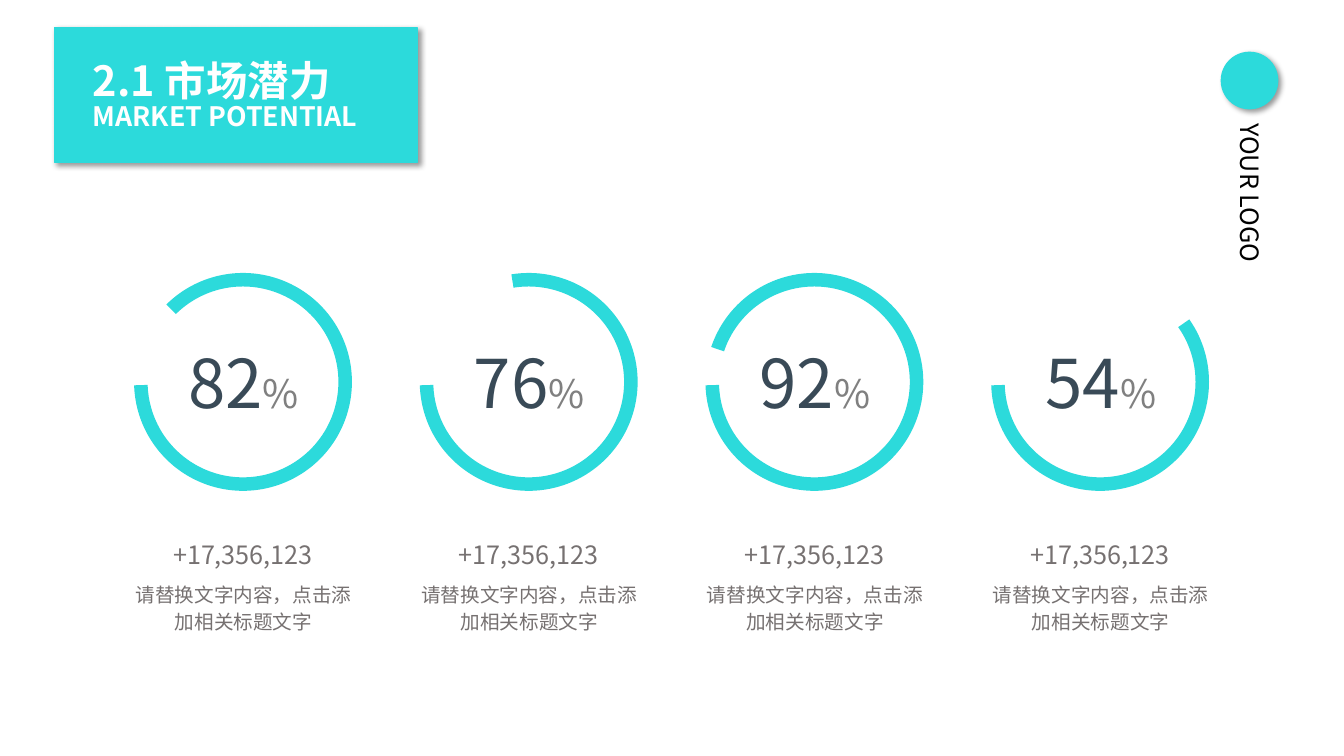
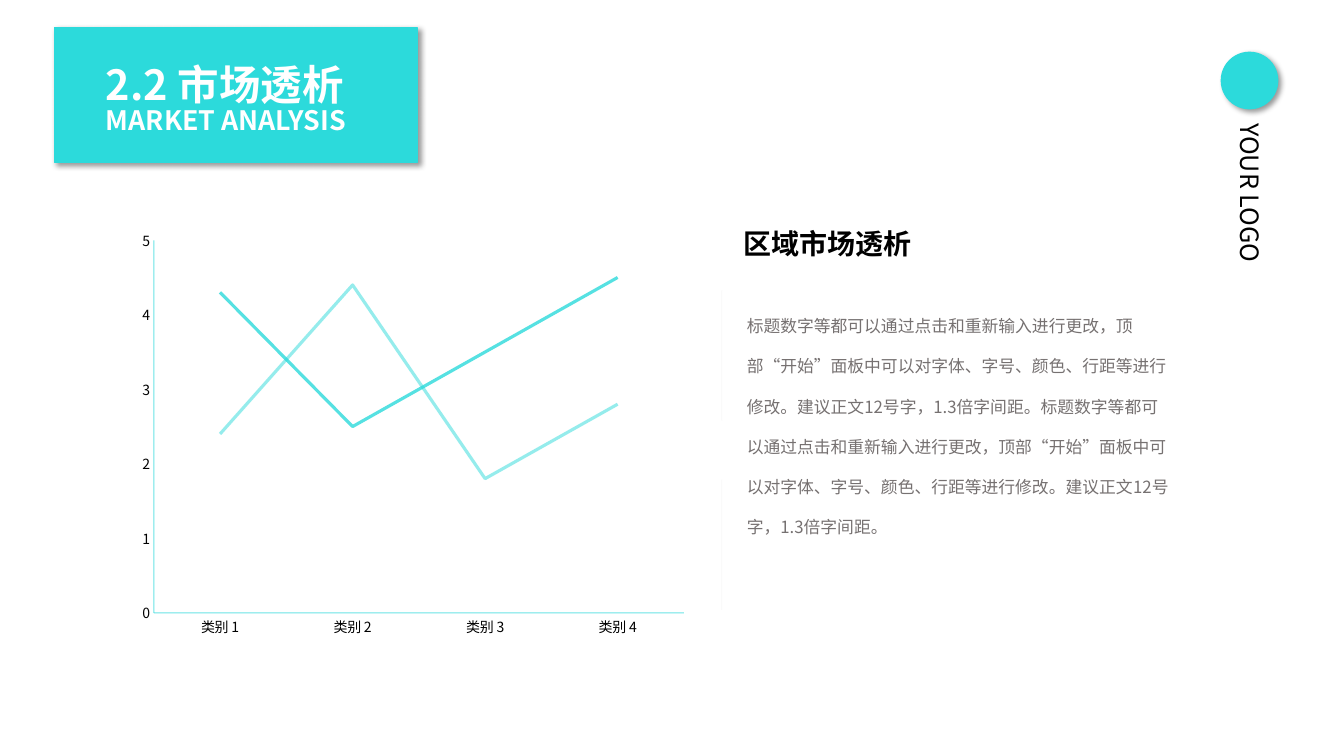
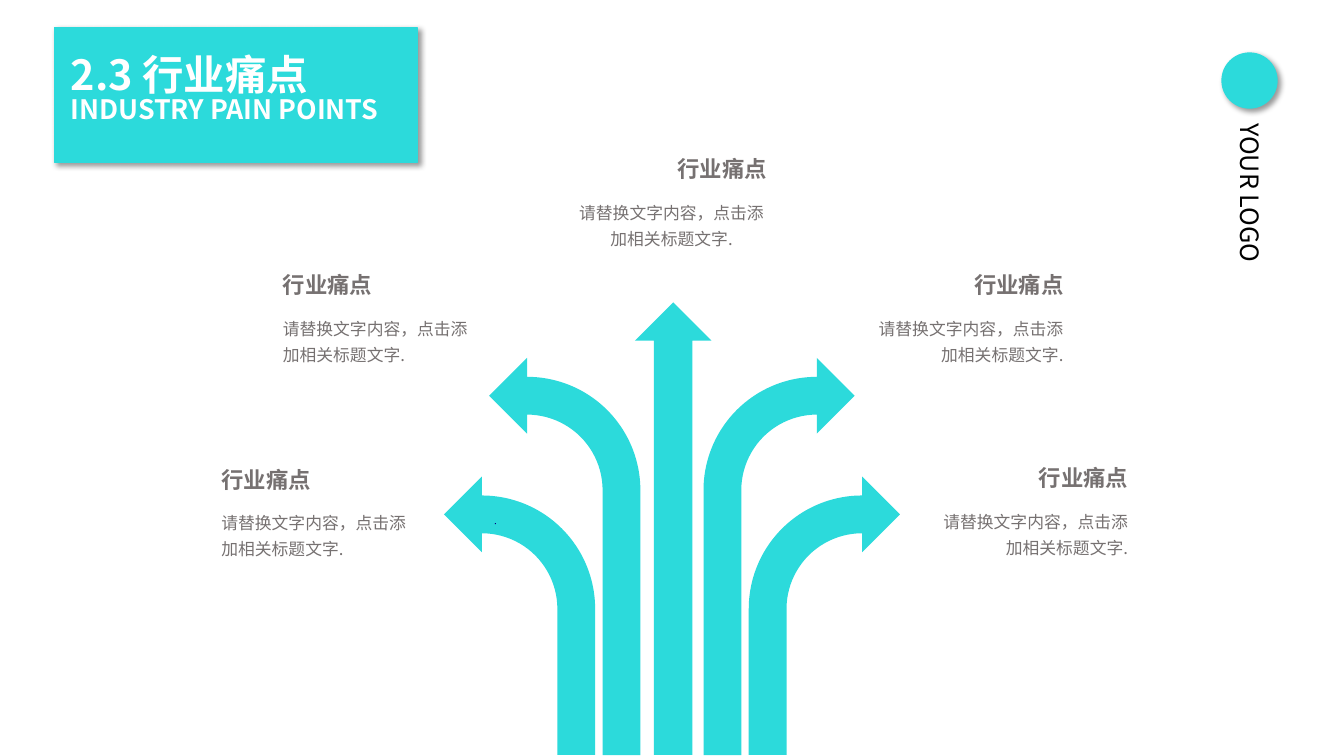
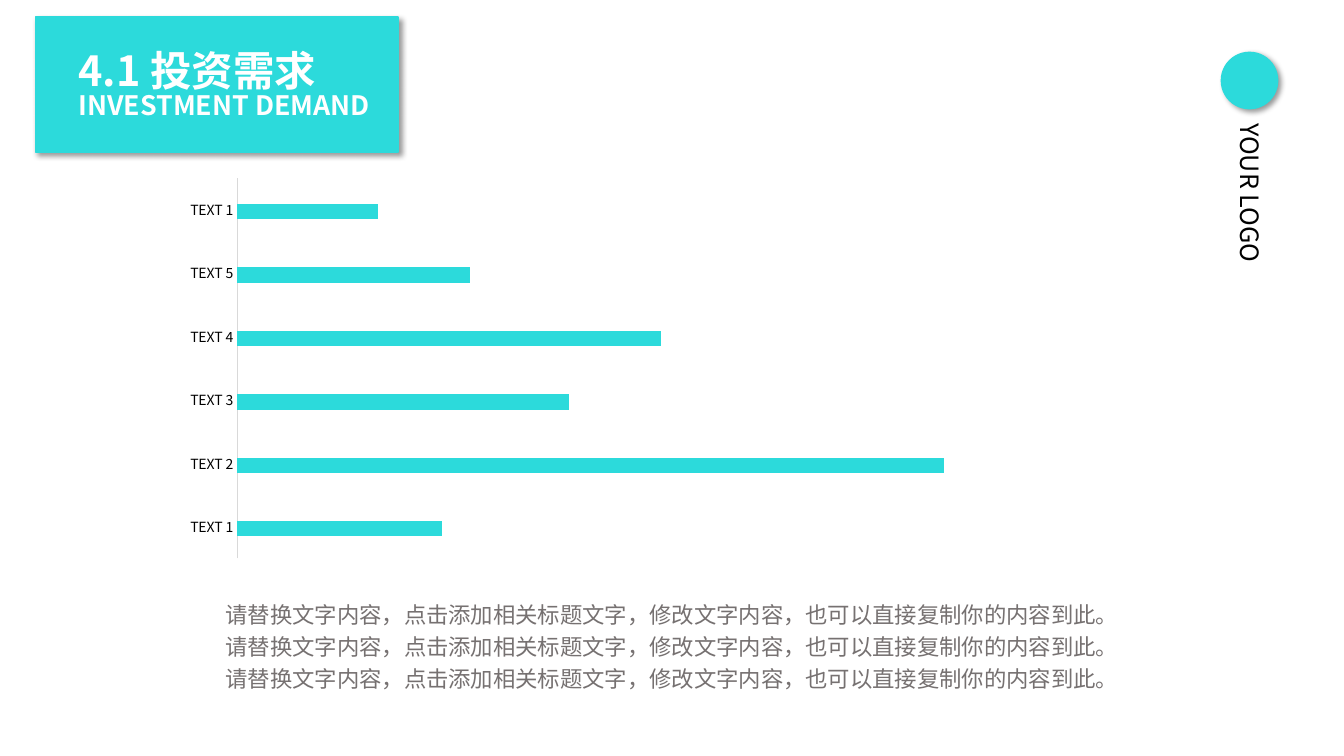
from lxml.etree import SubElement
from pptx import Presentation
from pptx.chart.data import CategoryChartData
from pptx.dml.color import RGBColor
from pptx.enum.chart import XL_CHART_TYPE, XL_TICK_MARK
from pptx.enum.shapes import MSO_CONNECTOR, MSO_SHAPE
from pptx.enum.text import MSO_ANCHOR, MSO_AUTO_SIZE, PP_ALIGN
from pptx.oxml.ns import qn
from pptx.util import Cm, Pt

FONT = "Noto Sans CJK SC"
WIDE = 33.87
HEX = {
    "cyan": "2CDADB", "white": "FFFFFF", "black": "000000",
    "slate": "394A57", "mid": "808080", "gray": "767171",
    "pale": "F2F2F2", "axis": "D9D9D9", "navy": "010080",
    "orange": "ED7D31", "silver": "A5A5A5",
}
INK = {name: RGBColor.from_string(code) for name, code in HEX.items()}
LOOK = {
    "title": (29.6, "white", True, Pt(38.1)),
    "under": (19.1, "white", True, Pt(19.1)),
    "logo": (18, "black", False, None),
    "value": (48, "slate", False, None),
    "sign": (28, "mid", False, None),
    "count": (18, "gray", False, None),
    "note": (14, "gray", False, 1.14),
    "head": (20, "black", True, Pt(18)),
    "body": (12, "gray", False, 2.0),
    "label": (16, "gray", True, None),
    "hint": (12, "gray", False, 1.3),
    "sum": (16, "gray", False, 1.2),
}
FRAME = {"word_wrap": True, "auto_size": MSO_AUTO_SIZE.SHAPE_TO_FIT_TEXT}
TIGHT = {"word_wrap": False, "margin_left": 0, "margin_top": 0,
         "margin_right": 0, "margin_bottom": Cm(0.13)}
LEFT, MID, RIGHT = PP_ALIGN.LEFT, PP_ALIGN.CENTER, PP_ALIGN.RIGHT


def write(page, area, lines, align=LEFT, **extra):
    box = page.shapes.add_textbox(*[Cm(n) for n in area])
    frame = box.text_frame
    for key, val in {**FRAME, **extra}.items():
        setattr(frame, key, val)
    for i, runs in enumerate(lines):
        para = frame.add_paragraph() if i else frame.paragraphs[0]
        para.alignment = align
        para.line_spacing = LOOK[runs[0][1]][3]
        for words, look in runs:
            size, tint, bold, gap = LOOK[look]
            run = para.add_run()
            run.text = words
            for key, val in {"name": FONT, "size": Pt(size), "bold": bold}.items():
                setattr(run.font, key, val)
            run.font.color.rgb = INK[tint]
            SubElement(run.font._element, qn("a:ea"), typeface=FONT)
    return box


def draw(page, kind, area, tint="cyan", edge=False, shade=False, turns=()):
    shape = page.shapes.add_shape(kind, *[Cm(n) for n in area])
    shape.shadow.inherit = False
    shape.fill.solid()
    shape.fill.fore_color.rgb = INK[tint]
    if edge:
        shape.line.color.rgb = INK[tint]
        shape.line.width = Pt(1)
    else:
        shape.line.fill.background()
    for i, turn in enumerate(turns):
        shape.adjustments[i] = turn
    if shade:
        list_ = shape._element.spPr.find(qn("a:effectLst"))
        cast = SubElement(list_, qn("a:outerShdw"), blurRad=str(Pt(4)), dist=str(Pt(3)),
                          dir="2700000", algn="tl", rotWithShape="0")
        color = SubElement(cast, qn("a:srgbClr"), val=HEX["black"])
        SubElement(color, qn("a:alpha"), val="40000")
    return shape


deck = Presentation()
deck.slide_width, deck.slide_height = Cm(WIDE), Cm(19.05)

tops = [
    ("2.1 市场潜力", "MARKET POTENTIAL", (1.37, 0.69), (2.34, 1.3, 7.06), True),
    ("2.2 市场透析", "MARKET ANALYSIS", (1.37, 0.69), (2.67, 1.4, 6.58), True),
    ("2.3 行业痛点", "INDUSTRY PAIN POINTS", (1.37, 0.69), (1.78, 1.14, 8.36), False),
    ("4.1 投资需求", "INVESTMENT DEMAND", (0.89, 0.43), (1.98, 1.04, 8.05), True),
]
pages = []
for title, under, band, spot, edge in tops:
    page = deck.slides.add_slide(deck.slide_layouts[6])
    draw(page, MSO_SHAPE.RECTANGLE, (*band, 9.14, 3.4), edge=True, shade=True)
    write(page, (*spot, 2.16), [[(title, "title")], [(under, "under")]], **TIGHT)
    draw(page, MSO_SHAPE.OVAL, (30.78, 1.32, 1.42, 1.42), edge=edge, shade=True)
    logo = write(page, (28.85, 5, 5.31, 1.02), [[("YOUR LOGO", "logo")]])
    logo.rotation = 90
    pages.append(page)
rings, trend, pains, needs = pages

shares = [("82", 135.18), ("76", 156.51), ("92", 119.22), ("54", 194.98)]
for i, (share, start) in enumerate(shares):
    x = 3.38 + 7.2 * i
    draw(rings, MSO_SHAPE.BLOCK_ARC, (x, 6.88, 5.49, 5.49), turns=(start, 106.92, 0.062))
    write(rings, (x + 1.06, 8.46, 3.4, 2.31), [[(share, "value"), ("%", "sign")]], MID,
          word_wrap=False, vertical_anchor=MSO_ANCHOR.MIDDLE)
    write(rings, (x - 0.29, 14.48, 6.1, 1.63),
          [[("请替换文字内容，点击添加相关标题文字", "note")]], MID)
    write(rings, (x + 0.6, 13.46, 4.29, 1.02), [[("+17,356,123", "count")]], MID,
          word_wrap=False)

data = CategoryChartData()
data.categories = [f"类别 {n}" for n in range(1, 5)]
data.add_series("Series 1", (4.3, 2.5, 3.5, 4.5))
data.add_series("Series 2", (2.4, 4.4, 1.8, 2.8))
area = [Cm(n) for n in (3.3, 5.59, 14.22, 10.67)]
curve = trend.shapes.add_chart(XL_CHART_TYPE.LINE, *area, data).chart

data = CategoryChartData()
data.categories = [f"TEXT {n}" for n in (1, 2, 3, 4, 5, 1)]
data.add_series("Series 1", (29, 100, 47, 60, 33, 20))
for n in (2, 3):
    data.add_series(f"Series {n}", [None] * 6)
area = [Cm(n) for n in (4.37, 4.29, 21.26, 9.98)]
bars = needs.shapes.add_chart(XL_CHART_TYPE.BAR_CLUSTERED, *area, data).chart

for chart, top in ((curve, 5), (bars, 108)):
    chart.has_legend = chart.has_title = False
    for key, val in {"name": FONT, "size": Pt(10)}.items():
        setattr(chart.font, key, val)
    chart.font.color.rgb = INK["black"]
    SubElement(chart.font._element, qn("a:ea"), typeface=FONT)
    chart.plots[0].vary_by_categories = False
    for axis in (chart.category_axis, chart.value_axis):
        axis.has_major_gridlines = False
        axis.major_tick_mark = axis.minor_tick_mark = XL_TICK_MARK.NONE
    for key, val in {"minimum_scale": 0, "maximum_scale": top}.items():
        setattr(chart.value_axis, key, val)
curve.value_axis.major_unit = 1
bars.value_axis.visible = False
bars.plots[0].gap_width, bars.plots[0].overlap = 285, 87
for row, tint in zip(bars.plots[0].series, ("cyan", "orange", "silver")):
    row.format.fill.solid()
    row.format.fill.fore_color.rgb = INK[tint]

strokes = [
    (curve.category_axis.format.line, "cyan", 0.75, 70),
    (curve.value_axis.format.line, "cyan", 0.75, 70),
    (bars.category_axis.format.line, "axis", 0.75, 100),
]
for row, alpha in zip(curve.plots[0].series, (80, 50)):
    row.smooth = False
    strokes.append((row.format.line, "cyan", 2.25, alpha))
for y in (7.32, 12.09):
    rule = trend.shapes.add_connector(MSO_CONNECTOR.STRAIGHT, Cm(18.19), Cm(y),
                                      Cm(18.19), Cm(y + 3.28))
    strokes.append((rule.line, "pale", 0.5, 50))
    SubElement(rule._element.spPr, qn("a:effectLst"))
for line, tint, width, alpha in strokes:
    line.color.rgb = INK[tint]
    line.width = Pt(width)
    if alpha < 100:
        color = line._get_or_add_ln().find(".//" + qn("a:srgbClr"))
        SubElement(color, qn("a:alpha"), val=str(alpha * 1000))

advice = ("标题数字等都可以通过点击和重新输入进行更改，顶部“开始”面板中可以对字体、"
          "字号、颜色、行距等进行修改。建议正文12号字，1.3倍字间距。")
write(trend, (18.57, 7.32, 11.28, 6.4), [[(advice * 2, "body")]])
write(trend, (18.49, 5.79, 13.64, 0.91), [[("区域市场透析", "head")]])

points = [
    (5.33, 11.61, LEFT, LEFT), (6.88, 6.71, LEFT, LEFT), (21.74, 6.71, RIGHT, RIGHT),
    (23.37, 11.58, RIGHT, RIGHT), (14.27, 3.78, RIGHT, MID),
]
for x, y, side, flow in points:
    write(pains, (x, y + 1.04, 5.31, 1.52),
          [[("请替换文字内容，点击添加相关标题文字.", "hint")]], flow)
    write(pains, (x, y, 5.31, 0.94), [[("行业痛点", "label")]], side)
for x, y, tall in ((17.73, 9.02, 10.01), (18.87, 12.01, 7.01)):
    for flip in (False, True):
        left = WIDE - x - 3.81 if flip else x
        arrow = draw(pains, MSO_SHAPE.BENT_ARROW, (left, y, 3.81, tall),
                     turns=(0.25, 0.25, 0.25, 0.75))
        if flip:
            arrow._element.spPr.xfrm.set("flipH", "1")
draw(pains, MSO_SHAPE.RECTANGLE, (12.47, 13.18, 0.03, 0.03), "navy")
draw(pains, MSO_SHAPE.UP_ARROW, (16, 7.62, 1.93, 11.4))

plea = "请替换文字内容，点击添加相关标题文字，修改文字内容，也可以直接复制你的内容到此。"
write(needs, (4.37, 14.88, 25.15, 2.72), [[(plea, "sum")]] * 3, MID)

deck.save("out.pptx")
